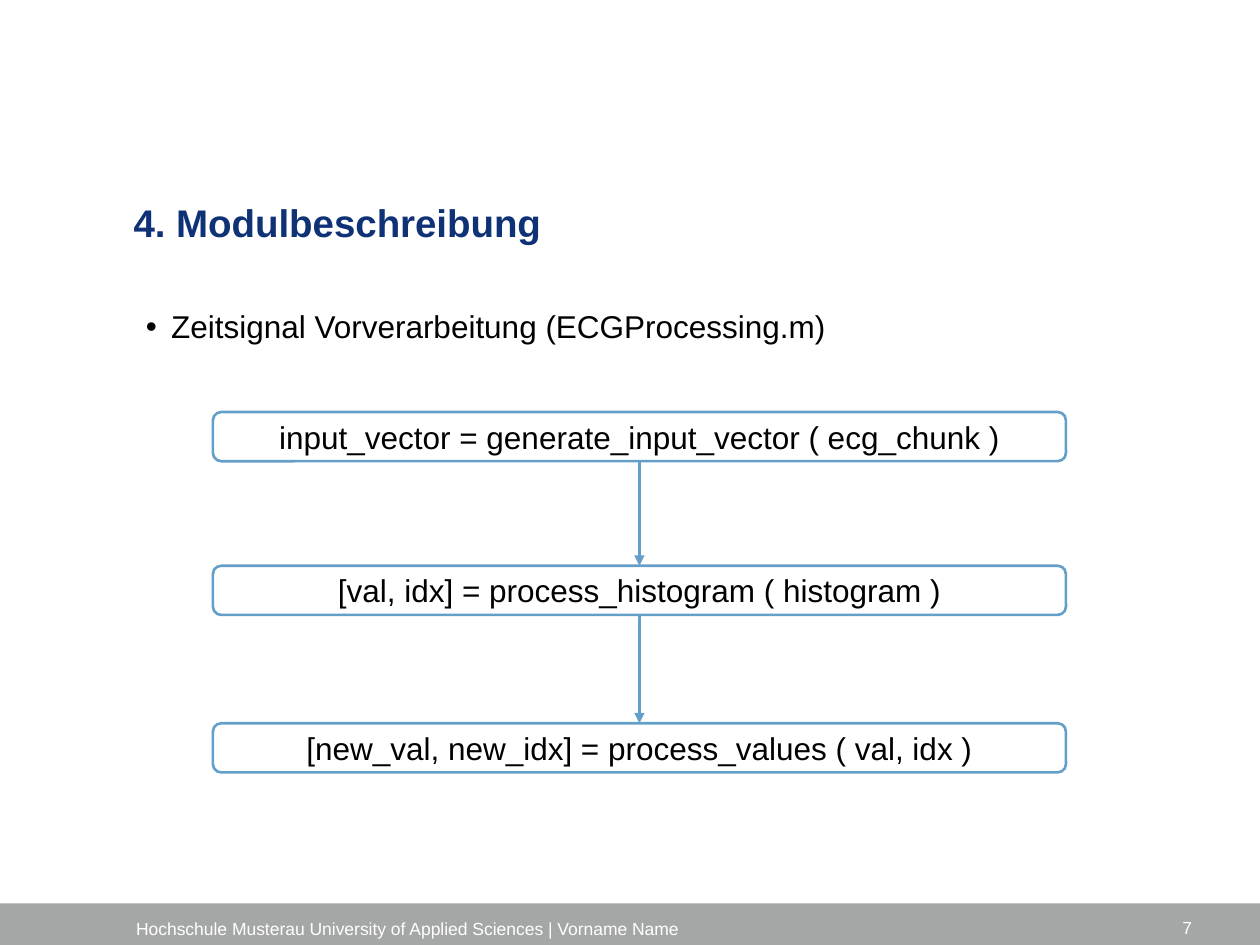
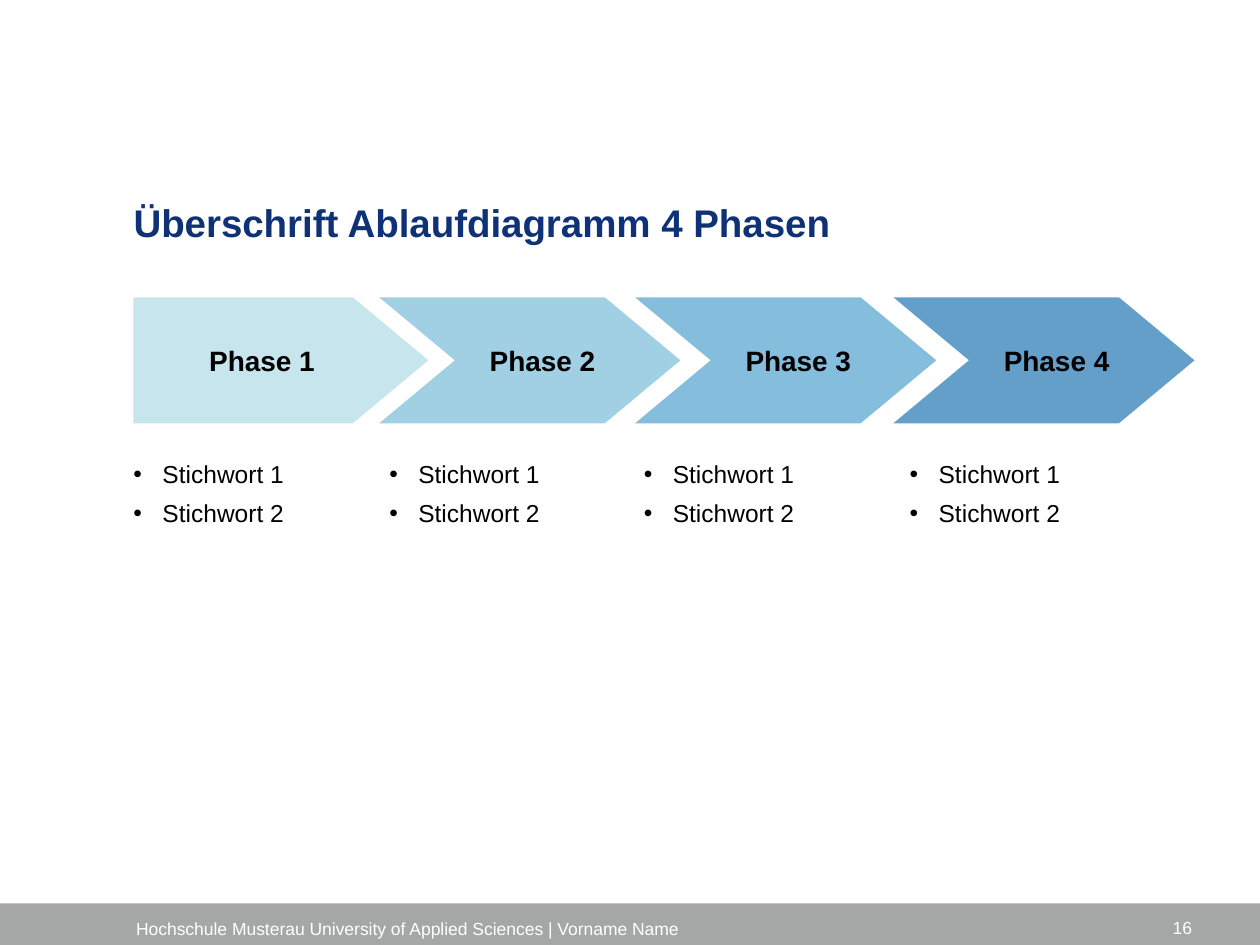
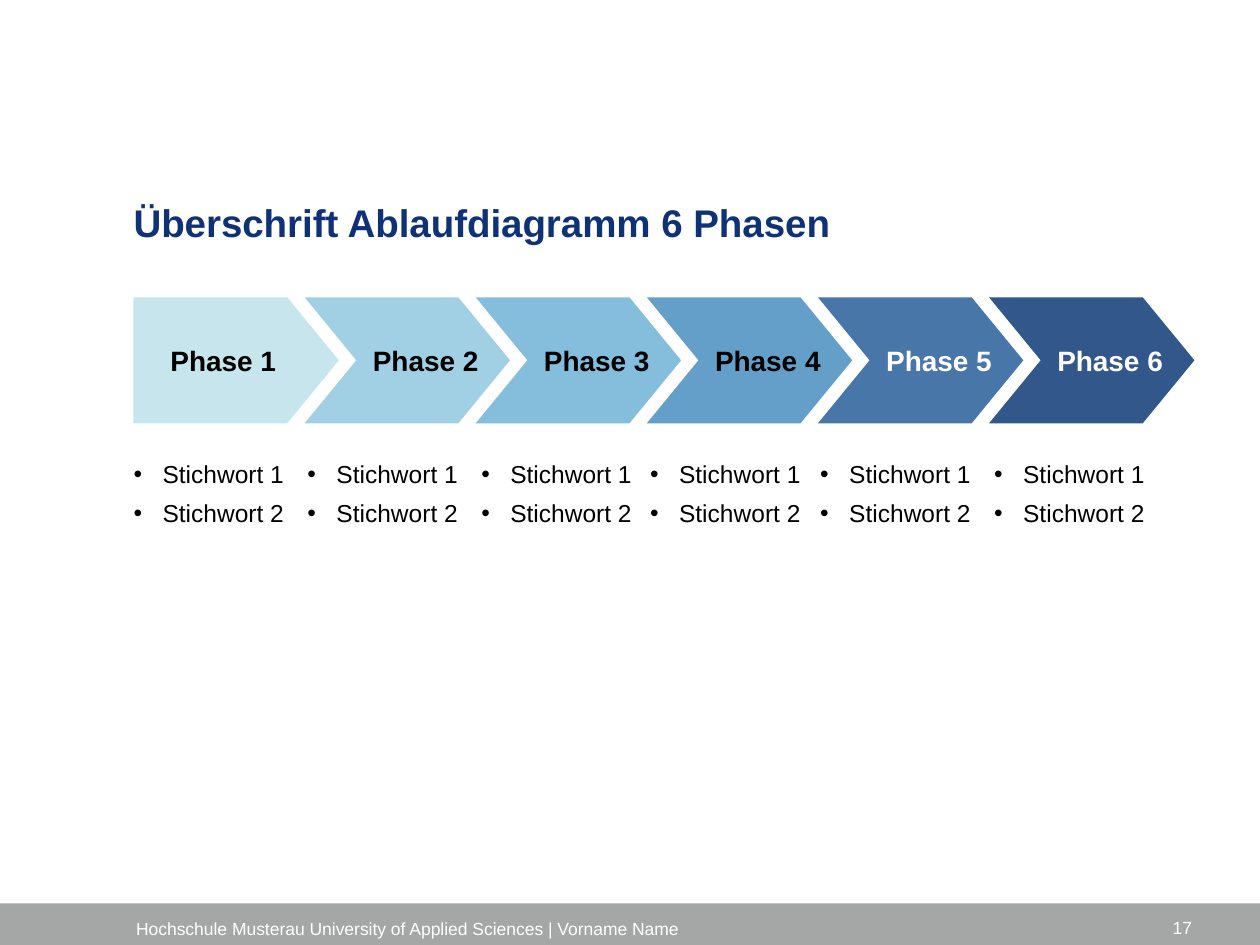
import pptx
import pptx.util
import pptx.dml.color
import pptx.enum.shapes
import pptx.enum.text
import pptx.oxml.ns
import lxml.etree

Inches = pptx.util.Inches
Pt = pptx.util.Pt
RGBColor = pptx.dml.color.RGBColor
Shape = pptx.enum.shapes.MSO_SHAPE
Align = pptx.enum.text.PP_ALIGN
Anchor = pptx.enum.text.MSO_ANCHOR
qn = pptx.oxml.ns.qn

# Shared colours and places
NAVY = RGBColor(0x0F, 0x32, 0x77)
GREY = RGBColor(0xA4, 0xA7, 0xA6)
BLACK = RGBColor(0, 0, 0)
WHITE = RGBColor(255, 255, 255)
BLUE = RGBColor(0x64, 0x9F, 0xCA)
SHADES = [
    RGBColor(0xC6, 0xE5, 0xEC), RGBColor(0xA1, 0xD0, 0xE5),
    RGBColor(0x85, 0xBD, 0xDC), BLUE,
    RGBColor(0x48, 0x76, 0xA8), RGBColor(0x32, 0x57, 0x8A),
]
LEFT = 1.06
FOOTER = "Hochschule Musterau University of Applied Sciences | Vorname Name"


def write(shape, text, size=18, color=BLACK, bold=False, align=Align.LEFT,
          anchor=Anchor.TOP, inset=(0, 0, 0, 0), wrap=True, line=None,
          after=0, bullet=None):
    """Fill a shape with text, one paragraph a line; bullet is its indent."""
    frame = shape.text_frame
    frame.text = text
    frame.auto_size = pptx.enum.text.MSO_AUTO_SIZE.NONE
    frame.word_wrap = wrap
    frame.vertical_anchor = anchor
    (frame.margin_left, frame.margin_top,
     frame.margin_right, frame.margin_bottom) = map(Inches, inset)
    for para in frame.paragraphs:
        para.alignment = align
        para.line_spacing = line
        para.space_before = Pt(0)
        para.space_after = Pt(after)
        if bullet:
            props = para._p.get_or_add_pPr()
            props.set("marL", str(Inches(bullet)))
            props.set("indent", str(-Inches(bullet)))
            font = lxml.etree.SubElement(props, qn("a:buFont"))
            font.set("typeface", "Arial")
            mark = lxml.etree.SubElement(props, qn("a:buChar"))
            mark.set("char", "•")
        for run in para.runs:
            run.font.name = "Arial"
            run.font.size = Pt(size)
            run.font.bold = bold
            run.font.color.rgb = color


def draw(slide, kind, left, top, width, height, fill=None, edge=None):
    """Add a flat shape, or a text box when kind is None."""
    box = [Inches(n) for n in (left, top, width, height)]
    if kind is None:
        return slide.shapes.add_textbox(*box)
    shape = slide.shapes.add_shape(kind, *box)
    shape.shadow.inherit = False
    if fill is None:
        shape.fill.background()
    else:
        shape.fill.solid()
        shape.fill.fore_color.rgb = fill
    if edge is None:
        shape.line.fill.background()
    else:
        shape.line.color.rgb = edge
        shape.line.width = Pt(1.5)
    return shape


deck = pptx.Presentation()
deck.slide_width = Inches(10)
deck.slide_height = Inches(7.5)

# Title, band and footer of every slide
heads = [
    ("4. Modulbeschreibung", "7"),
    ("Überschrift Ablaufdiagramm 4 Phasen", "16"),
    ("Überschrift Ablaufdiagramm 6 Phasen", "17"),
]
for head, number in heads:
    slide = deck.slides.add_slide(deck.slide_layouts[5])
    draw(slide, Shape.RECTANGLE, 0, 7.17, 10, 0.33, fill=GREY)
    write(draw(slide, None, 1.08, 7.25, 5.65, 0.2), FOOTER, size=10,
          color=WHITE, anchor=Anchor.BOTTOM, wrap=False)
    write(draw(slide, None, 7.23, 7.16, 2.33, 0.4), number, size=10,
          color=WHITE, align=Align.RIGHT, anchor=Anchor.MIDDLE,
          inset=(0.1, 0.05, 0.1, 0.05))
    title = slide.shapes.title
    title.left, title.top = Inches(LEFT), Inches(1.54)
    title.width, title.height = Inches(8.43), Inches(0.87)
    write(title, head, size=22, color=NAVY, bold=True, line=1.1)

# Slide 1: chain of function calls
slide = deck.slides[0]
write(draw(slide, None, LEFT, 2.36, 8.4, 3.94),
      "Zeitsignal Vorverarbeitung (ECGProcessing.m)",
      inset=(0.1, 0.05, 0.1, 0.05), line=1.1, after=4, bullet=0.2)
calls = [
    (3.27, "input_vector = generate_input_vector ( ecg_chunk )"),
    (4.49, "[val, idx] = process_histogram ( histogram )"),
    (5.74, "[new_val, new_idx] = process_values ( val, idx )"),
]
steps = []
for top, call in calls:
    step = draw(slide, Shape.ROUNDED_RECTANGLE, LEFT + 0.63, top, 6.77, 0.39,
                edge=BLUE)
    write(step, call, align=Align.CENTER, anchor=Anchor.MIDDLE,
          inset=(0.1, 0.05, 0.1, 0.05))
    steps.append(step)
for upper, lower in zip(steps, steps[1:]):
    arrow = slide.shapes.add_connector(
        pptx.enum.shapes.MSO_CONNECTOR.STRAIGHT, 0, 0, 0, 0)
    arrow.begin_connect(upper, 2)
    arrow.end_connect(lower, 0)
    arrow.line.color.rgb = BLUE
    arrow.line.width = Pt(1.5)
    tip = lxml.etree.SubElement(arrow.line._get_or_add_ln(), qn("a:tailEnd"))
    tip.set("type", "triangle")
    lxml.etree.SubElement(arrow._element.spPr, qn("a:effectLst"))

# Slides 2 and 3: rows of phases
# first width, other width, point, left inset, phase lefts, list width and lefts
flows = [
    (2.34, 2.39, 0.6, 0.3, [LEFT, 3.01, 5.04, 7.09],
     1.34, [LEFT, 3.09, 5.11, 7.22]),
    (1.63, 1.63, 0.41, 0.39, [LEFT + 1.358 * n for n in range(6)],
     1.32, [LEFT, 2.44, 3.82, 5.16, 6.51, 7.89]),
]
for slide, flow in zip(list(deck.slides)[1:], flows):
    first, other, point, inset, lefts, span, lists = flow
    for n, (left, start) in enumerate(zip(lefts, lists)):
        kind = Shape.CHEVRON if n else Shape.PENTAGON
        phase = draw(slide, kind, left, 2.36, other if n else first, 1,
                     fill=SHADES[n])
        phase.adjustments[0] = point
        write(phase, f"Phase {n + 1}", size=16, bold=True, wrap=False,
              color=WHITE if n > 3 else BLACK, align=Align.CENTER,
              anchor=Anchor.MIDDLE,
              inset=(inset if n else 0.1, 0.05, 0.1, 0.05))
        write(draw(slide, None, start, 3.62, span, 2.69),
              "Stichwort 1\nStichwort 2", size=14, line=1.1, after=4,
              bullet=0.23)

deck.save("out.pptx")
